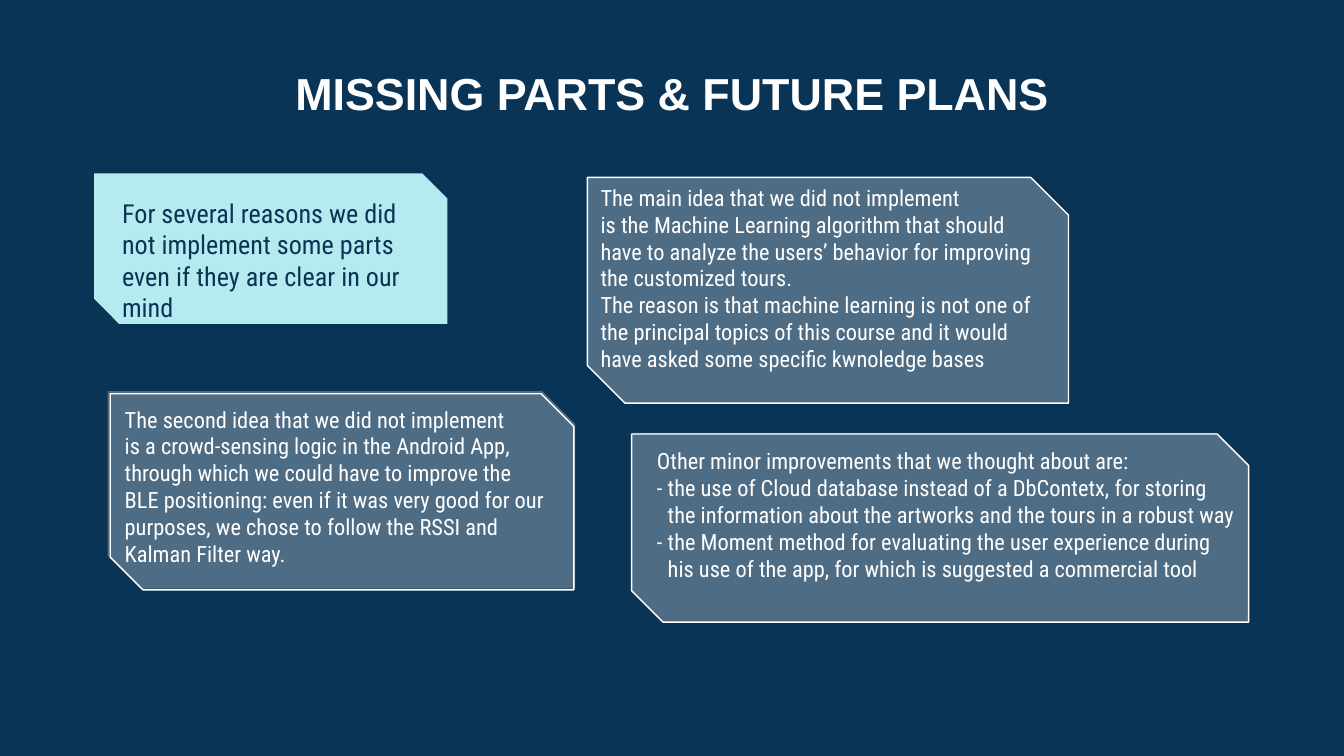
from lxml import etree
from pptx import Presentation
from pptx.dml.color import RGBColor
from pptx.enum import shapes, text
from pptx.oxml.ns import qn
from pptx.util import Inches, Pt

THEME = {
    "navy": RGBColor.from_string("0A3455"),
    "aqua": RGBColor.from_string("B4EBF0"),
    "white": RGBColor.from_string("FFFFFF"),
    "title_font": "Arial", "body_font": "Roboto Condensed",
    "title_size": 24, "intro_size": 14, "body_size": 12,
    "frame_width": 0.75, "panel_opacity": 28, "snip": 0.167, "hang": 0.08,
}

TITLE = "MISSING PARTS & FUTURE PLANS"
TITLE_AT = (0.12, 0.39, 9.76, 1.03)

INTRO = {
    "panel": (0.7, 1.29, 2.63, 1.12), "text_at": (0.81, 1.42, 2.52, 0.81),
    "text": ["For several reasons we did not implement some parts even if they are clear in our mind"],
}

# A newline inside a paragraph is a line break.
IDEAS = [
    {
        "panel": (4.37, 1.32, 3.58, 1.68), "frame": (4.37, 1.32, 3.58, 1.68),
        "text_at": (4.37, 1.32, 3.49, 1.5),
        "text": [
            "The main idea that we did not implement",
            "is the Machine Learning algorithm that should have to analyze the users’ behavior "
            "for improving the customized tours.",
            "The reason is that machine learning is not one of the principal topics of this course "
            "and it would have asked some specific kwnoledge bases",
        ],
    },
    {
        "panel": (0.8, 2.91, 3.48, 1.47), "frame": (0.82, 2.93, 3.45, 1.46),
        "text_at": (0.83, 2.97, 3.36, 1.3),
        "text": [
            "The second idea that we did not implement",
            "is a crowd-sensing logic in the Android App, through which we could have to improve "
            "the BLE positioning: even if it was very good for our purposes, we chose to follow "
            "the RSSI and Kalman Filter way.",
        ],
    },
    {
        "panel": (4.7, 3.22, 4.59, 1.41), "frame": (4.7, 3.23, 4.59, 1.4),
        "text_at": (4.79, 3.28, 4.74, 1.11),
        "text": ["Other minor improvements that we thought about are:"],
        "dashed": [
            "- the use of Cloud database instead of a DbContetx, for storing\n"
            "the information about the artworks and the tours in a robust way",
            "- the Moment method for evaluating the user experience during\n"
            "his use of the app, for which is suggested a commercial tool",
        ],
    },
]


def add_snipped(page, at, fill=None, opacity=100, framed=False):
    """Add a rectangle with two opposite corners cut off."""
    shape = page.shapes.add_shape(
        shapes.MSO_SHAPE.SNIP_2_DIAG_RECTANGLE, *map(Inches, at))
    shape.shadow.inherit = False
    shape.adjustments[0] = 0
    shape.adjustments[1] = THEME["snip"]
    if fill is None:
        shape.fill.background()
    else:
        shape.fill.solid()
        shape.fill.fore_color.rgb = fill
        if opacity < 100:
            color = shape.fill._xPr.find(qn("a:solidFill"))[0]
            etree.SubElement(color, qn("a:alpha"), val=str(opacity * 1000))
    if framed:
        shape.line.color.rgb = THEME["white"]
        shape.line.width = Pt(THEME["frame_width"])
    else:
        shape.line.fill.background()


def hang_indent(para):
    """Align the lines after the first with the words behind the dash."""
    properties = para._p.get_or_add_pPr()
    hang = Inches(THEME["hang"])
    properties.set("marL", str(hang))
    properties.set("indent", str(-hang))


def add_text(page, at, paragraphs, size, color, dashed=()):
    box = page.shapes.add_textbox(*map(Inches, at))
    frame = box.text_frame
    frame.word_wrap = True
    for index, content in enumerate([*paragraphs, *dashed]):
        para = frame.add_paragraph() if index else frame.paragraphs[0]
        if index >= len(paragraphs):
            hang_indent(para)
        for number, line in enumerate(content.split("\n")):
            if number:
                para.add_line_break()
            span = para.add_run()
            span.text = line
            style(span.font, THEME["body_font"], size, color)


def style(font, name, size, color, bold=False):
    font.name, font.size, font.bold = name, Pt(size), bold
    font.color.rgb = color


def set_title(page):
    title = page.shapes.title
    title.left, title.top, title.width, title.height = map(Inches, TITLE_AT)
    frame = title.text_frame
    frame.word_wrap = True
    frame.vertical_anchor = text.MSO_ANCHOR.TOP
    frame.margin_left = frame.margin_right = Inches(0.1)
    frame.margin_top = frame.margin_bottom = Inches(0.1)
    para = frame.paragraphs[0]
    para.alignment = text.PP_ALIGN.CENTER
    span = para.add_run()
    span.text = TITLE
    style(span.font, THEME["title_font"], THEME["title_size"], THEME["white"], bold=True)


def main():
    deck = Presentation()
    deck.slide_width = Inches(10)
    deck.slide_height = Inches(10 * 9 / 16)
    page = deck.slides.add_slide(deck.slide_layouts[5])
    page.background.fill.solid()
    page.background.fill.fore_color.rgb = THEME["navy"]
    set_title(page)

    add_snipped(page, INTRO["panel"], THEME["aqua"])
    add_text(page, INTRO["text_at"], INTRO["text"], THEME["intro_size"], THEME["navy"])
    for idea in IDEAS:
        add_snipped(page, idea["panel"], THEME["white"], THEME["panel_opacity"])
        add_snipped(page, idea["frame"], framed=True)
        add_text(page, idea["text_at"], idea["text"], THEME["body_size"],
                 THEME["white"], idea.get("dashed", ()))
    deck.save("out.pptx")


if __name__ == "__main__":
    main()
